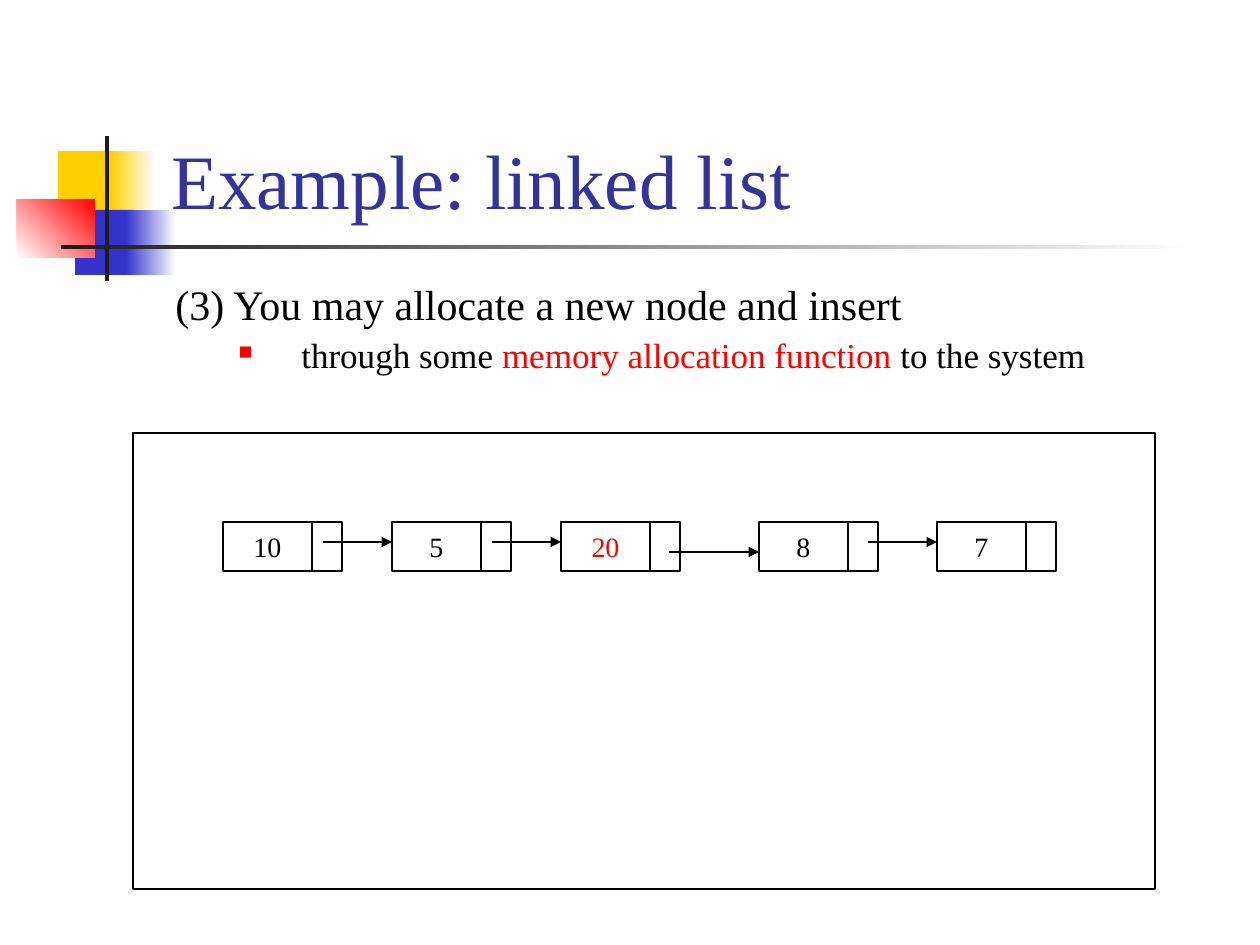
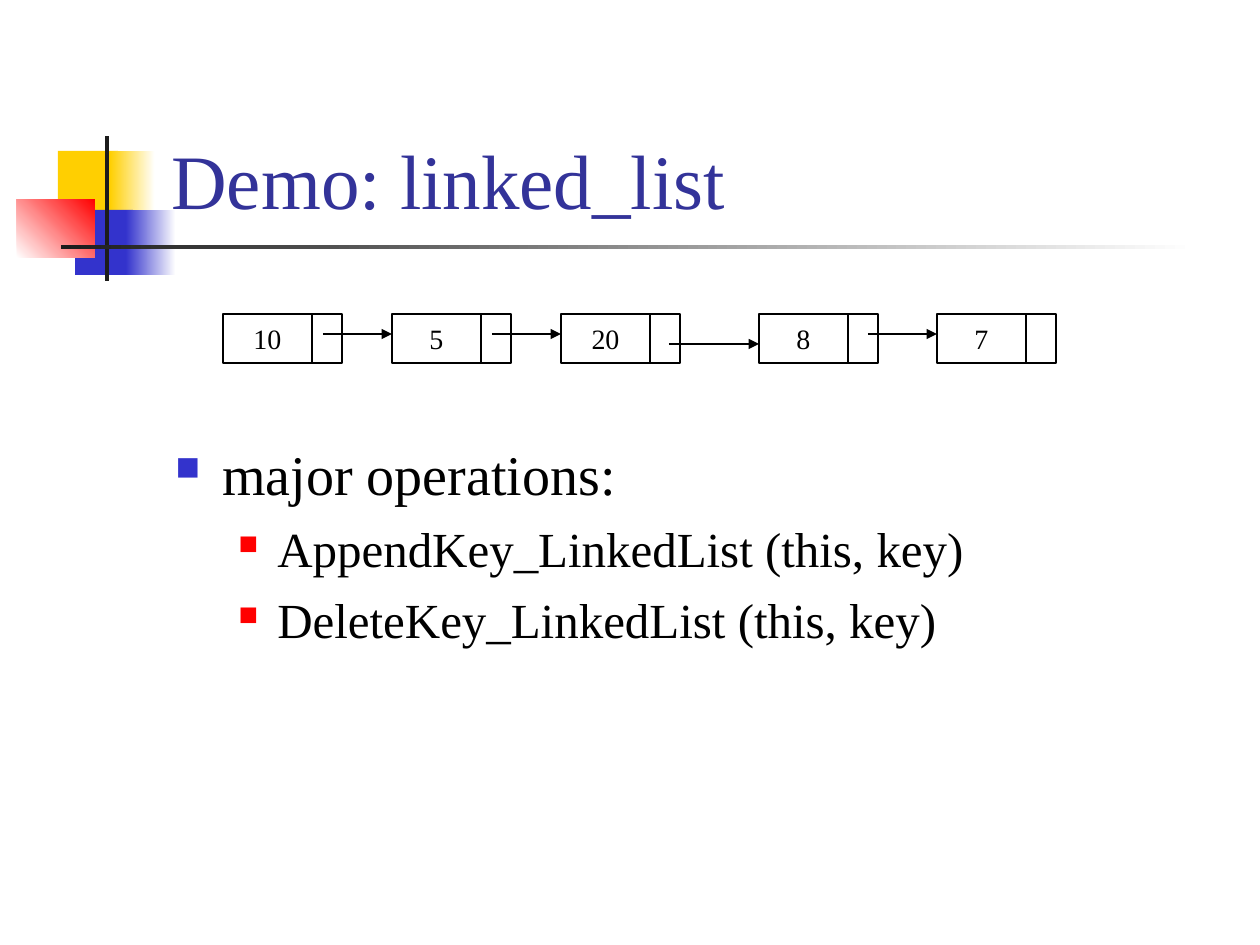
from dataclasses import dataclass

import pptx
import pptx.dml.color
import pptx.enum.shapes
import pptx.enum.text
import pptx.oxml.ns
import pptx.util
from lxml import etree

PX_PER_INCH = 126
RECT = pptx.enum.shapes.MSO_SHAPE.RECTANGLE
ALIGN = pptx.enum.text.PP_ALIGN
ANCHOR = pptx.enum.text.MSO_ANCHOR


@dataclass(frozen=True)
class Theme:
    font: str = "Times New Roman"
    title: str = "333399"
    text: str = "000000"
    accent: str = "FF0000"
    blue: str = "3333CC"
    yellow: str = "FFCF01"
    bar: str = "1C1C1C"
    paper: str = "FFFFFF"
    title_size: int = 44
    node_size: int = 16
    line: float = 0.75


THEME = Theme()

# Linked list: key, left edge, and where the outgoing arrow starts (right, down)
NODES = [
    ("10", 223, (100, 20)),
    ("5", 392, (100, 20)),
    ("20", 561, (108, 30)),
    ("8", 759, (109, 20)),
    ("7", 937, None),
]
KEY_W, POINTER_W, NODE_H = 89, 30, 49


def px(n):
    return pptx.util.Emu(round(n * 914400 / PX_PER_INCH))


def rgb(color):
    return pptx.dml.color.RGBColor.from_string(color)


def sub(parent, tag, **attrs):
    return etree.SubElement(parent, pptx.oxml.ns.qn(tag), attrs)


# Text
def write(p, text, size=20, color=THEME.text):
    r = p.add_run()
    r.text = text
    r.font.name = THEME.font
    r.font.size = pptx.util.Pt(size)
    r.font.color.rgb = rgb(color)


def set_indent(p, left, hanging, bullet_color=None, bullet_percent=55):
    pPr = p._p.get_or_add_pPr()
    pPr.set("marL", str(px(left)))
    pPr.set("indent", str(-px(hanging)))
    if bullet_color:
        sub(sub(pPr, "a:buClr"), "a:srgbClr", val=bullet_color)
        sub(pPr, "a:buSzPct", val=str(bullet_percent * 1000))
        sub(pPr, "a:buChar", char="■")


def add_text_box(slide, x, y, w, h, anchor=ANCHOR.TOP):
    tf = slide.shapes.add_textbox(px(x), px(y), px(w), px(h)).text_frame
    tf.word_wrap = True
    tf.vertical_anchor = anchor
    return tf


def add_bullet(tf, text, left, hanging, size, space, color=THEME.accent):
    """Add a bulleted paragraph; text is a list of (words, color) pairs."""
    p = tf.add_paragraph() if tf.text else tf.paragraphs[0]
    set_indent(p, left, hanging, color, 60 if color == THEME.blue else 55)
    if space:
        p.space_before = pptx.util.Pt(space)
    for words, word_color in text:
        write(p, words, size=size, color=word_color)
    return p


# Shapes
def add_rect(shapes, x, y, w, h, fill=None, fade=None, angle=0, line=None):
    sp = shapes.add_shape(RECT, px(x), px(y), px(w), px(h))
    sp.shadow.inherit = False
    if fade:
        sp.fill.gradient()
        sp.fill.gradient_angle = angle
        for stop, color in zip(sp.fill.gradient_stops, (fill, fade)):
            stop.color.rgb = rgb(color)
    elif fill:
        sp.fill.solid()
        sp.fill.fore_color.rgb = rgb(fill)
    else:
        sp.fill.background()
    if line:
        sp.line.color.rgb = rgb(line)
        sp.line.width = pptx.util.Pt(THEME.line)
    else:
        sp.line.fill.background()
    return sp


def add_arrow(shapes, x1, x2, y):
    straight = pptx.enum.shapes.MSO_CONNECTOR.STRAIGHT
    cxn = shapes.add_connector(straight, px(x1), px(y), px(x2), px(y))
    cxn.line.color.rgb = rgb(THEME.text)
    cxn.line.width = pptx.util.Pt(THEME.line)
    sub(cxn.line._get_or_add_ln(), "a:tailEnd", type="triangle")
    sub(cxn._element.spPr, "a:effectLst")


def add_node(shapes, x, y, key, color):
    tf = add_rect(shapes, x, y, KEY_W, NODE_H, line=THEME.text).text_frame
    tf.word_wrap = False
    tf.vertical_anchor = ANCHOR.MIDDLE
    p = tf.paragraphs[0]
    p.alignment = ALIGN.CENTER
    write(p, key, size=THEME.node_size, color=color)
    add_rect(shapes, x + KEY_W, y, POINTER_W, NODE_H, line=THEME.text)


def add_linked_list(slide, y, new_key=None):
    shapes = slide.shapes.add_group_shape().shapes
    for key, x, _ in NODES:
        add_node(shapes, x, y, key, THEME.accent if key == new_key else THEME.text)
    for (_, x, (right, down)), (_, next_x, _) in zip(NODES, NODES[1:]):
        add_arrow(shapes, x + right, next_x, y + down)


# Shared frame: coloured blocks, bars and title
def add_slide(prs, title):
    slide = prs.slides.add_slide(prs.slide_layouts[6])
    t = THEME
    add_rect(slide.shapes, 58, 151, 60, 66, t.yellow)
    add_rect(slide.shapes, 110, 151, 45, 66, t.yellow, fade=t.paper)
    add_rect(slide.shapes, 75, 210, 58, 65, t.blue)
    add_rect(slide.shapes, 126, 210, 50, 65, t.blue, fade=t.paper)
    add_rect(slide.shapes, 17, 199, 78, 59, t.paper, fade=t.accent, angle=45)
    add_rect(slide.shapes, 105, 136, 4, 145, t.bar)
    add_rect(slide.shapes, 61, 245, 1134, 4, t.bar, fade=t.paper)
    tf = add_text_box(slide, 159, 29, 1074, 202, anchor=ANCHOR.BOTTOM)
    write(tf.paragraphs[0], title, size=t.title_size, color=t.title)
    return slide


def build_insert_slide(prs):
    slide = add_slide(prs, "Example: linked list")
    tf = add_text_box(slide, 163, 278, 1071, 125)
    p = tf.paragraphs[0]
    set_indent(p, 73, 73)
    p.line_spacing = 0.9
    write(p, "(3) You may allocate a new node and insert", size=24)
    words = [
        ("through some ", THEME.text),
        ("memory allocation function", THEME.accent),
        (" to the system", THEME.text),
    ]
    add_bullet(tf, words, 126, 63, 20, 5).line_spacing = 0.9
    add_rect(slide.shapes, 133, 433, 1022, 456, line=THEME.text)
    add_linked_list(slide, 522, new_key="20")


def build_demo_slide(prs):
    slide = add_slide(prs, "Demo: linked_list")
    tf = add_text_box(slide, 163, 433, 1071, 412)
    heading = [("major operations:", THEME.text)]
    add_bullet(tf, heading, 47, 47, 32, 0, color=THEME.blue)
    for call in ("AppendKey_LinkedList (this, key)", "DeleteKey_LinkedList (this, key)"):
        add_bullet(tf, [(call, THEME.text)], 102, 39, 28, 7)
    add_linked_list(slide, 314)


def main():
    prs = pptx.Presentation()
    prs.slide_width, prs.slide_height = px(1260), px(945)
    build_insert_slide(prs)
    build_demo_slide(prs)
    prs.save("out.pptx")


if __name__ == "__main__":
    main()
